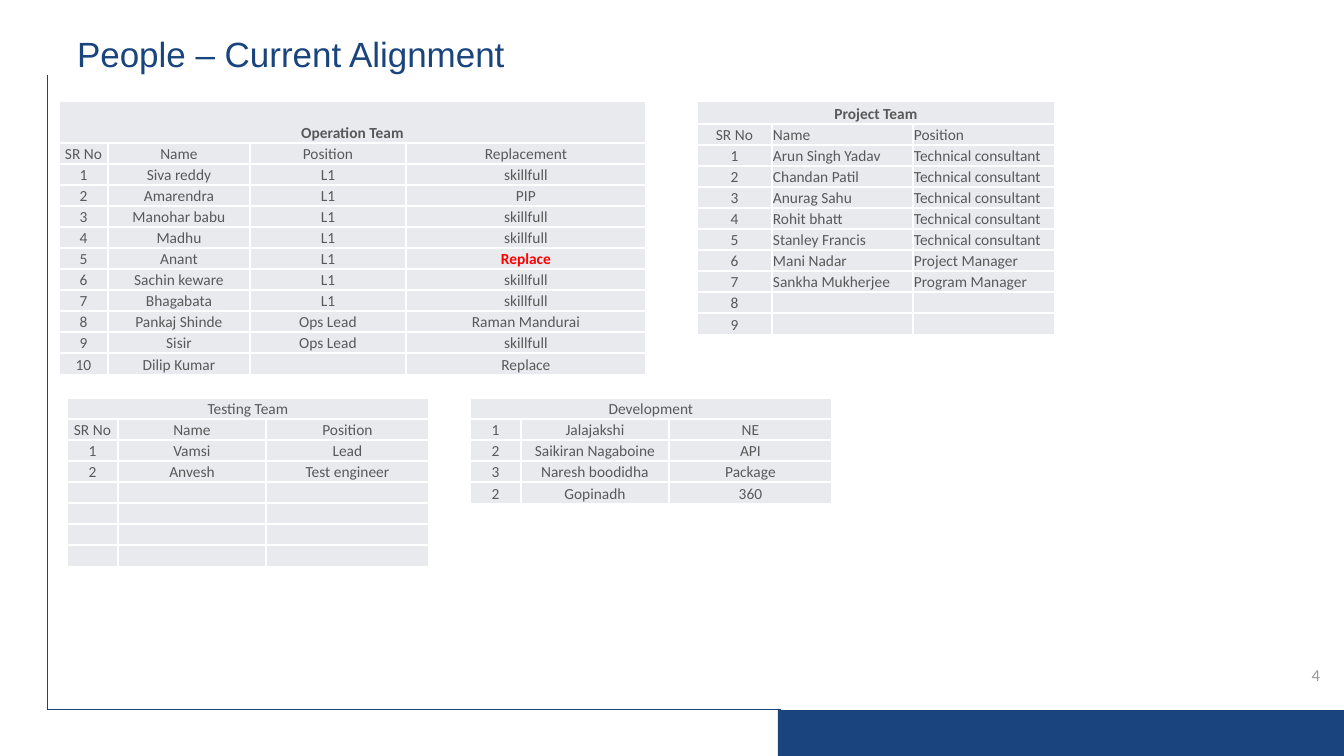
from dataclasses import dataclass

from lxml.etree import SubElement
from pptx import Presentation
from pptx.dml.color import RGBColor as RGB
from pptx.enum.shapes import MSO_CONNECTOR as CONNECTOR, MSO_SHAPE as SHAPE
from pptx.enum.text import MSO_ANCHOR as ANCHOR, PP_ALIGN as ALIGN
from pptx.oxml.ns import qn
from pptx.util import Pt

# Content
TITLE = "People – Current Alignment"
PAGE_NUMBER = "4"
URGENT = ("Anant", "Replace")  # row name and the word flagged in it

OPERATION = [
    ("SR No", "Name", "Position", "Replacement"),
    ("1", "Siva reddy", "L1", "skillfull"),
    ("2", "Amarendra", "L1", "PIP"),
    ("3", "Manohar babu", "L1", "skillfull"),
    ("4", "Madhu", "L1", "skillfull"),
    ("5", "Anant", "L1", "Replace"),
    ("6", "Sachin keware", "L1", "skillfull"),
    ("7", "Bhagabata", "L1", "skillfull"),
    ("8", "Pankaj Shinde", "Ops Lead", "Raman Mandurai"),
    ("9", "Sisir", "Ops Lead", "skillfull"),
    ("10", "Dilip Kumar", "", "Replace"),
]
PROJECT = [
    ("SR No", "Name", "Position"),
    ("1", "Arun Singh Yadav", "Technical consultant"),
    ("2", "Chandan Patil", "Technical consultant"),
    ("3", "Anurag Sahu", "Technical consultant"),
    ("4", "Rohit bhatt", "Technical consultant"),
    ("5", "Stanley Francis", "Technical consultant"),
    ("6", "Mani Nadar", "Project Manager"),
    ("7", "Sankha Mukherjee", "Program Manager"),
    ("8", "", ""),
    ("9", "", ""),
]
TESTING = [
    ("SR No", "Name", "Position"),
    ("1", "Vamsi", "Lead"),
    ("2", "Anvesh", "Test engineer"),
] + [("", "", "")] * 4
DEVELOPMENT = [
    ("1", "Jalajakshi", "NE"),
    ("2", "Saikiran Nagaboine", "API"),
    ("3", "Naresh boodidha", "Package"),
    ("2", "Gopinadh", "360"),
]

# Layout in px
WIDTH, HEIGHT = 1344, 756
TOP_ROW, BOTTOM_ROW = 101, 398
ROW, LAST_ROW = 21, 22
SMALL_COLUMNS = (51, 148, 163)


@dataclass
class Team:
    name: str
    people: list
    left: int
    top: int
    columns: tuple
    heading: int = ROW
    bold: bool = False
    detail_align: ALIGN = ALIGN.CENTER


TEAMS = [
    Team("Operation Team", OPERATION, 59, TOP_ROW, (49, 142, 156, 240), 42, True),
    Team("Project Team", PROJECT, 697, TOP_ROW, (75, 141, 142), 23, True, ALIGN.LEFT),
    Team("Testing Team", TESTING, 67, BOTTOM_ROW, SMALL_COLUMNS),
    Team("Development", DEVELOPMENT, 470, BOTTOM_ROW, SMALL_COLUMNS),
]


class Theme:
    navy = RGB(0x19, 0x44, 0x7D)
    text = RGB(0x59, 0x59, 0x59)
    number = RGB(0x9B, 0x9B, 0x9B)
    alert = RGB(0xFF, 0x00, 0x00)
    cell = RGB(0xE8, 0xEA, 0xEE)
    border = "FFFFFF"
    heading_font, body_font = "Arial", "Calibri"
    title_size, cell_size, number_size = 25, 11, 12
    frame_line, cell_line = 0.75, 1


def px(length):
    return round(length * 914400 / 100.8)


def write(frame, text, font, size, color, align, anchor, bold=False):
    frame.vertical_anchor = anchor
    frame.word_wrap = True
    paragraph = frame.paragraphs[0]
    paragraph.alignment = align
    if not text:  # keeps an empty cell as low as its row
        SubElement(paragraph._p, qn("a:endParaRPr"), sz=str(size * 100))
        return
    run = paragraph.add_run()
    run.text = text
    run.font.name, run.font.size, run.font.bold = font, Pt(size), bold
    run.font.color.rgb = color


def style_cell(cell, text, align, color=Theme.text, bold=False):
    cell.margin_left = cell.margin_right = cell.margin_top = px(1)
    cell.margin_bottom = 0
    write(cell.text_frame, text, Theme.body_font, Theme.cell_size, color,
          align, ANCHOR.BOTTOM, bold)
    cell.vertical_anchor = ANCHOR.BOTTOM
    properties = cell._tc.get_or_add_tcPr()
    for side in ("lnL", "lnR", "lnT", "lnB"):
        edge = SubElement(properties, qn(f"a:{side}"), w=str(Pt(Theme.cell_line)))
        SubElement(SubElement(edge, qn("a:solidFill")), qn("a:srgbClr"), val=Theme.border)
    cell.fill.solid()
    cell.fill.fore_color.rgb = Theme.cell


def add_team(slide, team):
    blanks = ("",) * (len(team.columns) - 1)
    rows = [(team.name, *blanks)] + team.people
    heights = [team.heading] + [ROW] * (len(rows) - 2) + [LAST_ROW]
    table = slide.shapes.add_table(
        len(rows), len(team.columns), px(team.left), px(team.top),
        px(sum(team.columns)), px(sum(heights))).table
    table.first_row = table.horz_banding = False
    for column, width in zip(table.columns, team.columns):
        column.width = px(width)
    for row, height in zip(table.rows, heights):
        row.height = px(height)
    for r, person in enumerate(rows):
        for c, text in enumerate(person):
            urgent = (person[1], text) == URGENT
            style_cell(table.cell(r, c), text,
                       team.detail_align if r and c else ALIGN.CENTER,
                       Theme.alert if urgent else Theme.text,
                       urgent or (r == 0 and team.bold))
    table.cell(0, 0).merge(table.cell(0, len(team.columns) - 1))


def add_line(slide, x1, y1, x2, y2):
    line = slide.shapes.add_connector(CONNECTOR.STRAIGHT, px(x1), px(y1), px(x2), px(y2))
    line.line.color.rgb = Theme.navy
    line.line.width = Pt(Theme.frame_line)
    SubElement(line._element.spPr, qn("a:effectLst"))


def main():
    deck = Presentation()
    deck.slide_width, deck.slide_height = px(WIDTH), px(HEIGHT)
    slide = deck.slides.add_slide(deck.slide_layouts[5])

    # Frame lines and footer block
    add_line(slide, 48, 75, 48, 710)
    add_line(slide, 781, 710, 48, 710)
    footer = slide.shapes.add_shape(SHAPE.RECTANGLE, px(778), px(710), px(566), px(46))
    footer.shadow.inherit = False
    footer.fill.solid()
    footer.fill.fore_color.rgb = Theme.navy
    footer.line.fill.background()

    # Page number and title
    number = slide.shapes.add_textbox(px(1246), px(655), px(84), px(40))
    write(number.text_frame, PAGE_NUMBER, Theme.body_font, Theme.number_size,
          Theme.number, ALIGN.RIGHT, ANCHOR.MIDDLE)
    title = slide.shapes.title
    title.left, title.top, title.width, title.height = px(67), px(18), px(959), px(70)
    write(title.text_frame, TITLE, Theme.heading_font, Theme.title_size,
          Theme.navy, ALIGN.LEFT, ANCHOR.MIDDLE)

    # Team tables
    for team in TEAMS:
        add_team(slide, team)

    deck.save("out.pptx")


if __name__ == "__main__":
    main()
